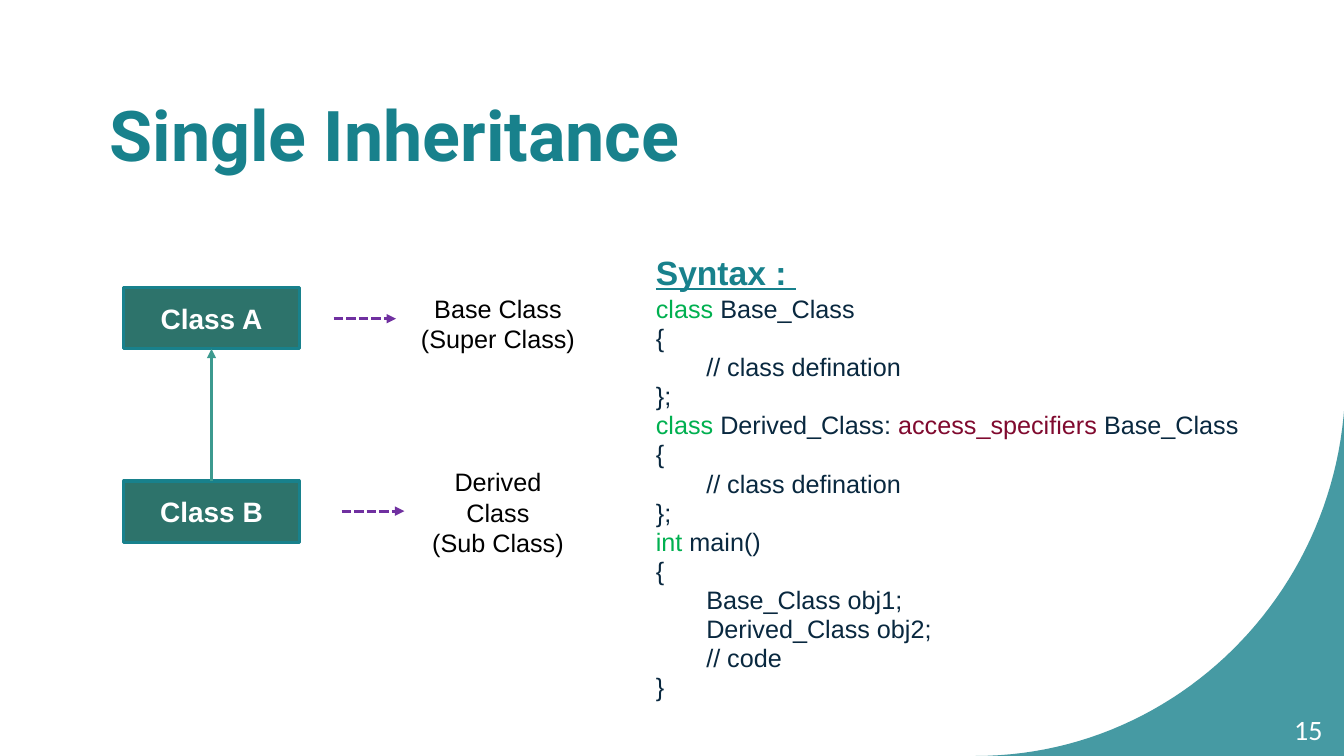
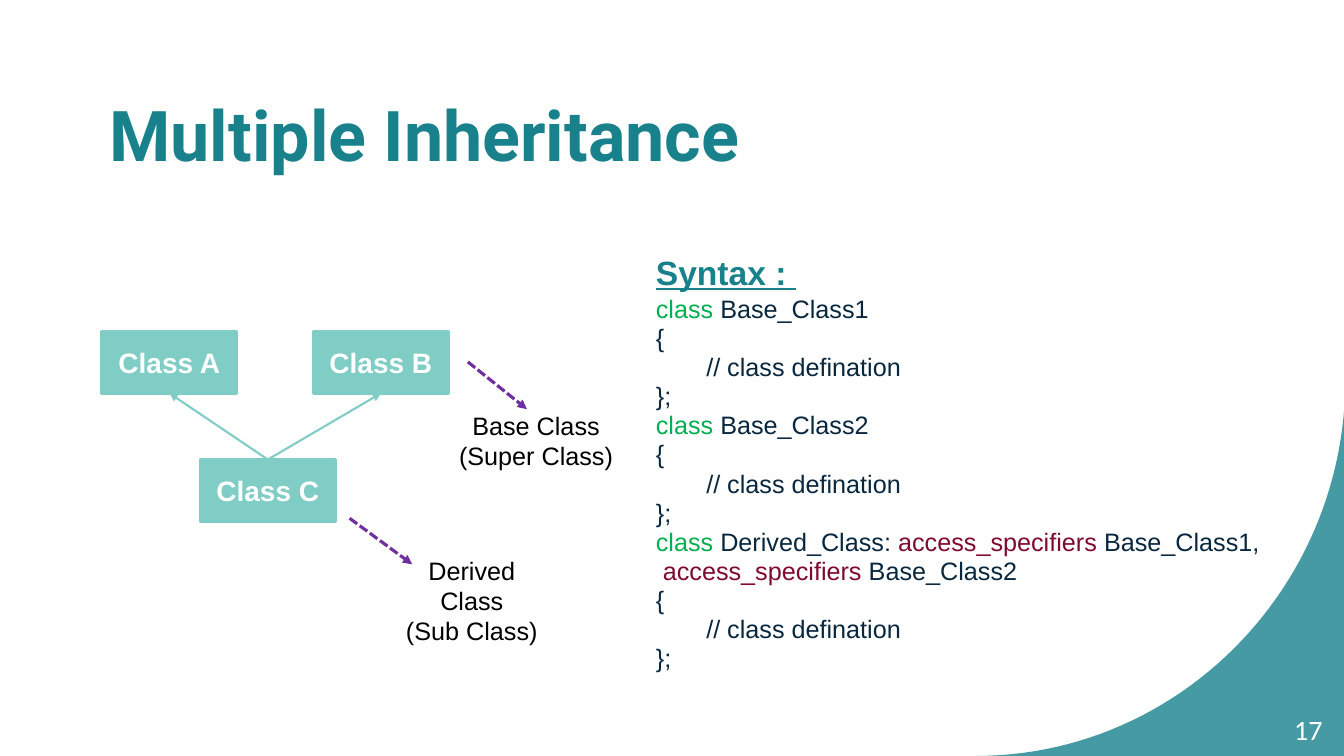
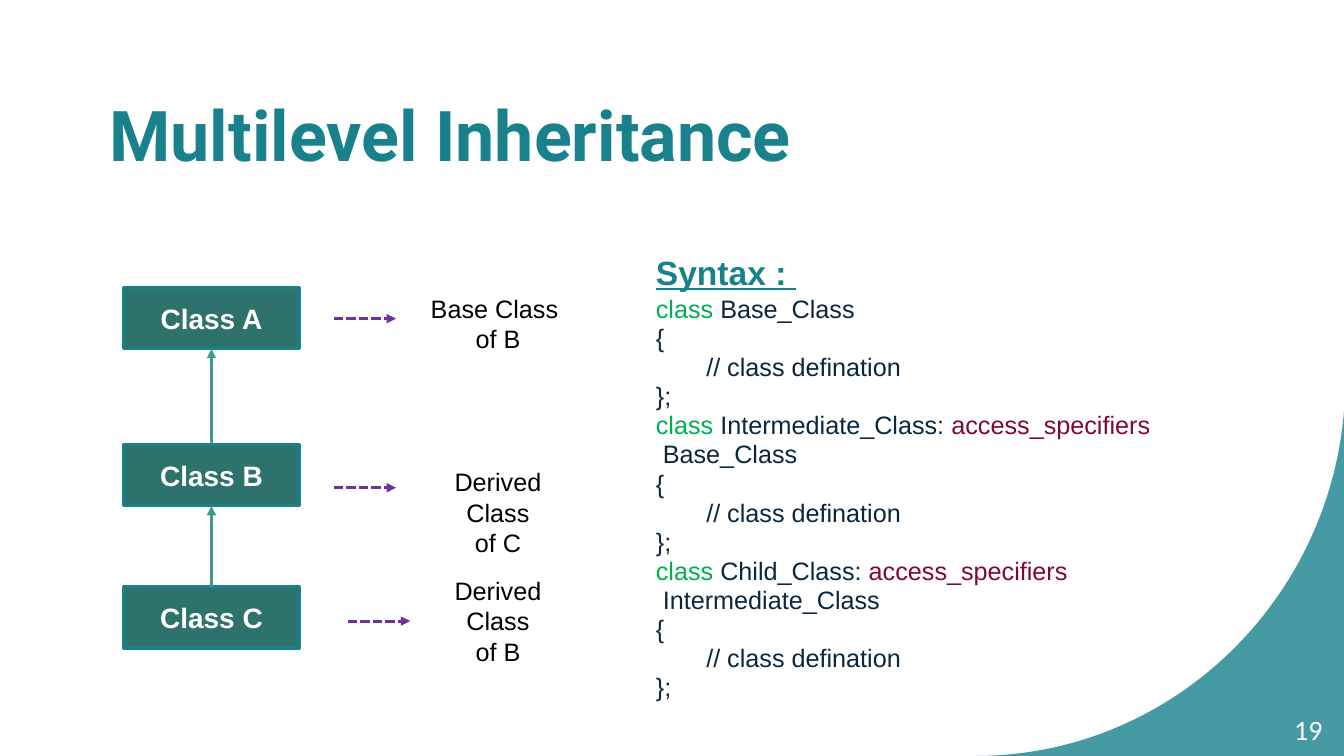
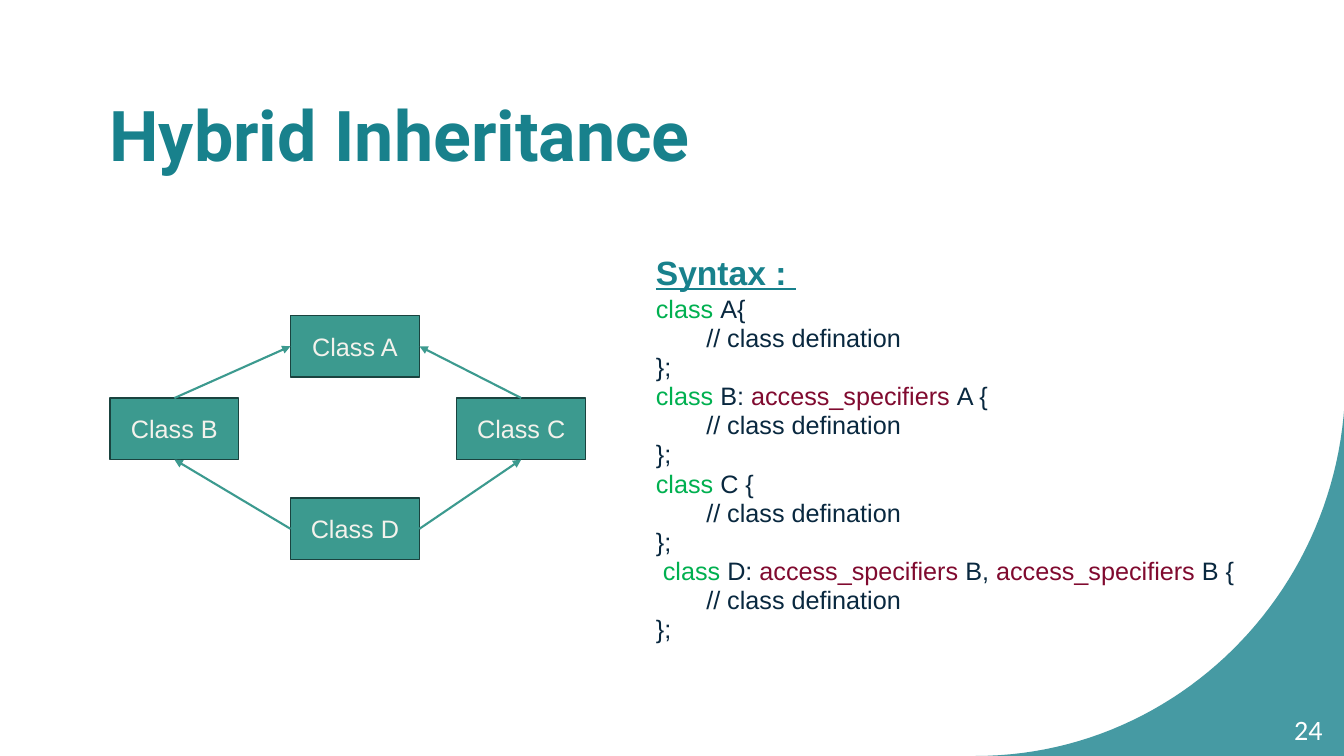
from itertools import groupby

from lxml import etree
from pptx import Presentation, util as u
from pptx.dml.color import RGBColor
from pptx.enum import dml, shapes, text
from pptx.oxml.ns import qn

Cm, Pt = u.Cm, u.Pt

# ---- Shared look ----
TEAL, GREEN, MAROON, NAVY = "18818C", "00B050", "800A2F", "09283F"
SEA, PURPLE, WHITE, BLACK = "3C9A8F", "7030A0", "FFFFFF", "000000"
WIDTH, HEIGHT = 33.87, 19.05
KEYWORDS = {"class": GREEN, "int": GREEN, "access_specifiers": MAROON}
LABEL_SIZE = (4.42, 1.83)
TOP, LEFT, BOTTOM, RIGHT = range(4)

# Box styles: size in cm, fill, outline, outline width, font, arrow colour and width
DARK = dict(size=(4.42, 1.55), fill="2D736B", edge=TEAL, edge_pt=2.25,
            font=(20, WHITE, True), arrow=SEA, arrow_pt=2.25)
LIGHT = dict(size=(3.4, 1.55), fill="7FCDC4", edge="7FCDC4", edge_pt=2.25,
             font=(20, WHITE, True), arrow="7FCDC4", arrow_pt=1.5)
MEDIUM = dict(size=(3.25, 1.55), fill=SEA, edge="1A433F", edge_pt=1,
              font=(18, "F4F2EC", False), arrow=SEA, arrow_pt=1.5)

# ---- Content ----
BODY = ["{", "\t// class defination", "};"]
SHORT_BODY = BODY[1:]

SLIDES = [
    dict(
        title="Single Inheritance", number=15, style=DARK,
        classes={"A": (3.12, 7.24), "B": (3.12, 12.12)},
        inherits=[("B", TOP, "A", BOTTOM)],
        pointers=[(8.41, 8.03, 9.98, 8.03), (8.61, 12.88, 10.19, 12.88)],
        labels=[(10.34, 7.24, "Base Class\n(Super Class)"),
                (10.34, 11.99, "Derived Class\n(Sub Class)")],
        code=["class Base_Class", *BODY,
              "class Derived_Class: access_specifiers Base_Class", *BODY,
              "int main()", "{", "\tBase_Class obj1;", "\tDerived_Class obj2;",
              "\t// code", "}"],
    ),
    dict(
        title="Multiple Inheritance", number=17, style=LIGHT,
        classes={"A": (2.57, 8.36), "B": (7.9, 8.36), "C": (5.05, 11.58)},
        inherits=[("C", TOP, "A", BOTTOM), ("C", TOP, "B", BOTTOM)],
        pointers=[(11.79, 9.12, 13.28, 10.31), (8.81, 13.06, 10.39, 14.22)],
        labels=[(11.3, 10.19, "Base Class\n(Super Class)"),
                (9.68, 14.22, "Derived Class\n(Sub Class)")],
        code=["class Base_Class1", *BODY, "class Base_Class2", *BODY,
              "class Derived_Class: access_specifiers Base_Class1,",
              " access_specifiers Base_Class2", *BODY],
    ),
    dict(
        title="Multilevel Inheritance", number=19, style=DARK,
        classes={"A": (3.12, 7.24), "B": (3.12, 11.2), "C": (3.12, 14.78)},
        inherits=[("C", TOP, "B", BOTTOM), ("B", TOP, "A", BOTTOM)],
        pointers=[(8.41, 8.03, 9.98, 8.03), (8.41, 12.29, 9.98, 12.29),
                  (8.76, 15.65, 10.34, 15.65)],
        labels=[(10.34, 7.24, "Base Class \nof B"),
                (10.34, 11.99, "Derived Class\nof C"),
                (10.34, 14.73, "Derived Class\nof B")],
        code=["class Base_Class", *BODY,
              "class Intermediate_Class: access_specifiers", " Base_Class", *BODY,
              "class Child_Class: access_specifiers", " Intermediate_Class", *BODY],
    ),
    dict(
        title="Hybrid Inheritance", number=24, style=MEDIUM,
        classes={"A": (7.32, 7.95), "D": (7.32, 12.55),
                 "B": (2.77, 10.03), "C": (11.51, 10.03)},
        inherits=[("D", LEFT, "B", BOTTOM), ("B", TOP, "A", LEFT),
                  ("D", RIGHT, "C", BOTTOM), ("C", TOP, "A", RIGHT)],
        pointers=[], labels=[],
        code=["class A{", *SHORT_BODY, "class B: access_specifiers A {", *SHORT_BODY,
              "class C {", *SHORT_BODY,
              " class D: access_specifiers B, access_specifiers B {", *SHORT_BODY],
    ),
]


# ---- Helpers ----
def rgb(value):
    return RGBColor.from_string(value)


def style_font(font, size, color, bold=False, name="Arial"):
    font.name, font.size, font.bold = name, Pt(size), bold
    font.color.rgb = rgb(color)


def write(shape, words, align, *font):
    frame = shape.text_frame
    frame.word_wrap = True
    frame.vertical_anchor = text.MSO_ANCHOR.MIDDLE
    frame.text = words
    for paragraph in frame.paragraphs:
        paragraph.alignment = align
        for run in paragraph.runs:
            style_font(run.font, *font)


def add_words(slide, box, words, align, *font):
    holder = slide.shapes.add_textbox(*map(Cm, box))
    write(holder, words, align, *font)
    return holder


def add_arrow(slide, ends, color, width, dash=None):
    arrow = slide.shapes.add_connector(shapes.MSO_CONNECTOR.STRAIGHT, *map(Cm, ends))
    arrow.line.color.rgb = rgb(color)
    arrow.line.width = Pt(width)
    if dash:
        arrow.line.dash_style = dash
    etree.SubElement(arrow.line._get_or_add_ln(), qn("a:tailEnd"), type="triangle")
    etree.SubElement(arrow._element.spPr, qn("a:effectLst"))
    return arrow


# ---- Parts of a slide ----
def add_corner(slide, steps=48):
    """Translucent corner: the outside of a quarter circle, along a Bezier curve."""
    curve = [(24.59, 19.05), (29.41, 19.05), (33.4, 15.29), (33.86, 10.49)]
    points = [(WIDTH, HEIGHT)]
    for step in range(steps + 1):
        t = step / steps
        weights = ((1 - t) ** 3, 3 * t * (1 - t) ** 2, 3 * t * t * (1 - t), t ** 3)
        points.append(tuple(sum(w * p[axis] for w, p in zip(weights, curve))
                            for axis in (0, 1)))
    builder = slide.shapes.build_freeform(Cm(WIDTH), Cm(10.36))
    builder.add_line_segments([(Cm(x), Cm(y)) for x, y in points])
    corner = builder.convert_to_shape()
    corner.shadow.inherit = False
    corner.fill.solid()
    corner.fill.fore_color.rgb = rgb(TEAL)
    corner.line.fill.background()
    tint = corner._element.spPr.find(".//" + qn("a:srgbClr"))
    etree.SubElement(tint, qn("a:alpha"), val="80000")


def add_frame(slide, title, number):
    add_corner(slide)
    heading = add_words(slide, (2.51, 1.65, 28.35, 3.68), title,
                        text.PP_ALIGN.LEFT, 50, TEAL, True, "Roboto")
    heading.text_frame.paragraphs[0].line_spacing = 0.9
    add_words(slide, (31.65, 17.88, 1.93, 1.02), str(number),
              text.PP_ALIGN.RIGHT, 20, WHITE, False, "Calibri")


def color_parts(line):
    """Split a code line into (colour, words) parts; comments stay plain."""
    if "//" in line:
        return [(NAVY, line)]
    words = line.split(" ")
    spaced = [(KEYWORDS.get(word, NAVY), word + " ") for word in words[:-1]]
    spaced.append((KEYWORDS.get(words[-1], NAVY), words[-1]))
    return [(color, "".join(word for _, word in group))
            for color, group in groupby(spaced, key=lambda part: part[0])]


def add_code(slide, lines):
    syntax = add_words(slide, (16.28, 6.02, 15.82, 12.01), "Syntax : ",
                       text.PP_ALIGN.LEFT, 24, TEAL, True)
    frame = syntax.text_frame
    frame.vertical_anchor = text.MSO_ANCHOR.TOP
    caption = frame.paragraphs[0]
    caption.line_spacing, caption.space_before = 1.2, Pt(10)
    caption.runs[0].font.underline = True
    for line in lines:
        paragraph = frame.add_paragraph()
        paragraph.line_spacing, paragraph.space_before = 0.5, Pt(10)
        for color, words in color_parts(line):
            run = paragraph.add_run()
            run.text = words
            style_font(run.font, 18, color)


def add_class(slide, name, corner, style):
    box = slide.shapes.add_shape(shapes.MSO_SHAPE.RECTANGLE,
                                 *map(Cm, corner + style["size"]))
    box.shadow.inherit = False
    box.fill.solid()
    box.fill.fore_color.rgb = rgb(style["fill"])
    box.line.color.rgb = rgb(style["edge"])
    box.line.width = Pt(style["edge_pt"])
    write(box, f"Class {name}", text.PP_ALIGN.CENTER, *style["font"])
    return box


def add_diagram(slide, content):
    style = content["style"]
    boxes = {name: add_class(slide, name, corner, style)
             for name, corner in content["classes"].items()}
    for child, child_side, parent, parent_side in content["inherits"]:
        arrow = add_arrow(slide, (0, 0, 0, 0), style["arrow"], style["arrow_pt"])
        arrow.begin_connect(boxes[child], child_side)
        arrow.end_connect(boxes[parent], parent_side)
    for ends in content["pointers"]:
        add_arrow(slide, ends, PURPLE, 2.25, dml.MSO_LINE.SQUARE_DOT)
    for left, top, words in content["labels"]:
        add_words(slide, (left, top, *LABEL_SIZE), words,
                  text.PP_ALIGN.CENTER, 18, BLACK)


def main():
    deck = Presentation()
    deck.slide_width, deck.slide_height = Cm(WIDTH), Cm(HEIGHT)
    for content in SLIDES:
        slide = deck.slides.add_slide(deck.slide_layouts[6])
        add_frame(slide, content["title"], content["number"])
        add_code(slide, content["code"])
        add_diagram(slide, content)
    deck.save("out.pptx")


if __name__ == "__main__":
    main()
